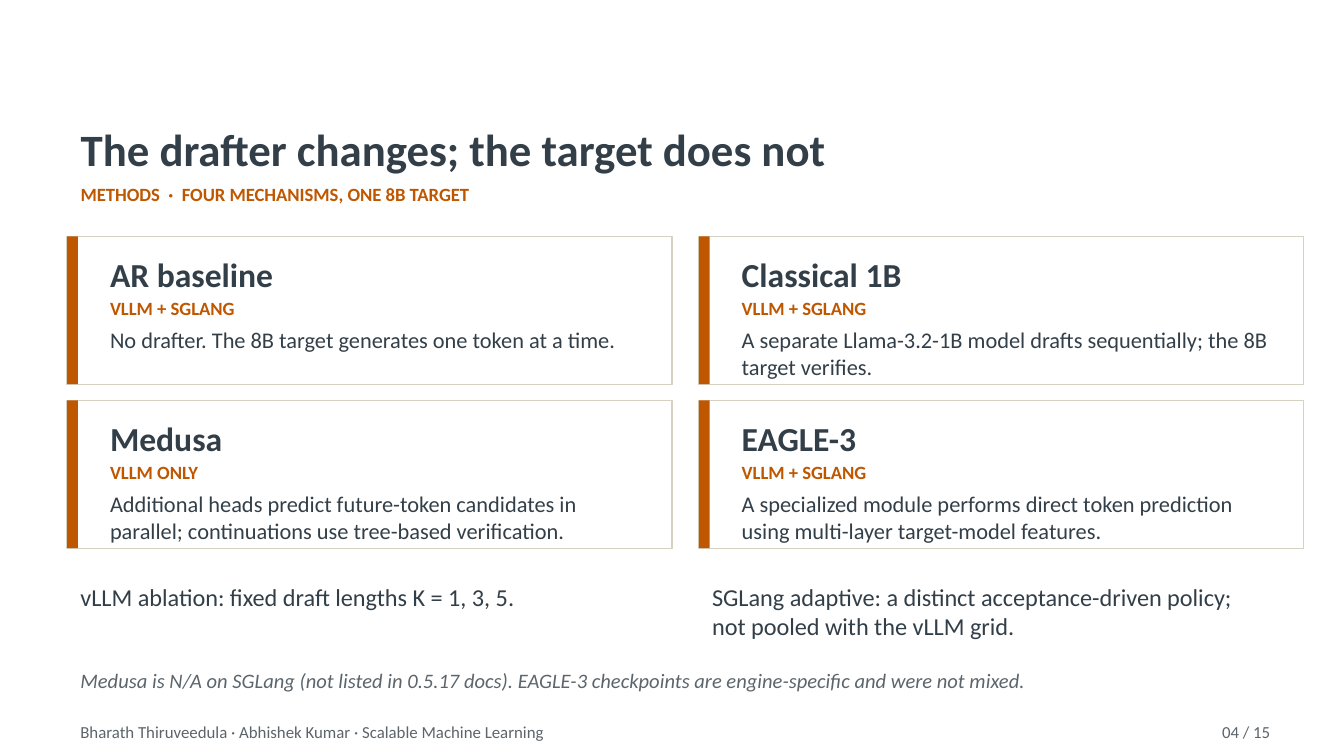
from pptx import Presentation
from pptx.dml.color import RGBColor
from pptx.enum.shapes import MSO_SHAPE
from pptx.enum.text import MSO_ANCHOR, MSO_AUTO_SIZE, PP_ALIGN
from pptx.util import Pt

RECTANGLE = MSO_SHAPE.RECTANGLE
MIDDLE = MSO_ANCHOR.MIDDLE
NO_AUTOFIT = MSO_AUTO_SIZE.NONE
LEFT, RIGHT = PP_ALIGN.LEFT, PP_ALIGN.RIGHT

COLORS = {
    "paper": "FFFFFF",
    "ink": "333F48",
    "accent": "BF5700",
    "border": "D6D2C3",
    "muted": "5B656B",
}
FONT = "Calibri"
TITLE_ONLY = 5

MARGIN = 36
COLUMN_WIDTH = 324
COLUMN_STEP = 338.4
CARD_TOP = 126.72
CARD_HEIGHT = 79.2
CARD_STEP = 87.84
STRIPE_WIDTH = 5.76

CARDS = [
    ("AR baseline", "VLLM + SGLANG",
     "No drafter. The 8B target generates one token at a time."),
    ("Classical 1B", "VLLM + SGLANG",
     "A separate Llama-3.2-1B model drafts sequentially; the 8B target verifies."),
    ("Medusa", "VLLM ONLY",
     "Additional heads predict future-token candidates in parallel; "
     "continuations use tree-based verification."),
    ("EAGLE-3", "VLLM + SGLANG",
     "A specialized module performs direct token prediction "
     "using multi-layer target-model features."),
]


def color(name):
    return RGBColor.from_string(COLORS[name])


def write(para, text, size=12, ink="ink", bold=False, italic=False,
          align=LEFT, before=0):
    para.alignment = align
    para.space_before = Pt(before)
    span = para.add_run()
    span.text = text
    span.font.name = FONT
    span.font.size = Pt(size)
    span.font.bold = bold
    span.font.italic = italic
    span.font.color.rgb = color(ink)


def add_text(page, left, top, width, height, text, **style):
    box = page.shapes.add_textbox(Pt(left), Pt(top), Pt(width), Pt(height))
    box.text_frame.word_wrap = True
    write(box.text_frame.paragraphs[0], text, **style)


def add_block(page, left, top, width, height, fill, line=None):
    block = page.shapes.add_shape(
        RECTANGLE, Pt(left), Pt(top), Pt(width), Pt(height))
    block.shadow.inherit = False
    block.fill.solid()
    block.fill.fore_color.rgb = color(fill)
    if line:
        block.line.color.rgb = color(line)
        block.line.width = Pt(0.75)
    else:
        block.line.fill.background()


def place_title(page, left, top, width, height):
    title = page.shapes.title
    title.left, title.top = Pt(left), Pt(top)
    title.width, title.height = Pt(width), Pt(height)
    frame = title.text_frame
    frame.word_wrap = True
    frame.auto_size = NO_AUTOFIT
    frame.vertical_anchor = MIDDLE
    write(frame.paragraphs[0], "The drafter changes; the target does not",
          size=24, bold=True)
    write(frame.add_paragraph(), "METHODS  ·  FOUR MECHANISMS, ONE 8B TARGET",
          size=10, ink="accent", bold=True, before=4)


def place_card(page, left, top, width, height, name, engines, summary):
    add_block(page, left, top, width, height, "paper", line="border")
    add_block(page, left, top, STRIPE_WIDTH, height, "accent")
    text_left, text_width = left + 15.84, width - 25.2
    add_text(page, text_left, top + 5.76, text_width, 23.04, name,
             size=18, bold=True)
    add_text(page, text_left, top + 28.8, text_width, 15.84, engines,
             size=10, ink="accent", bold=True)
    add_text(page, text_left, top + 44.64, text_width, 30.24, summary)


def place_cards(page, left, top):
    for index, card in enumerate(CARDS):
        row, column = divmod(index, 2)
        place_card(page, left + column * COLUMN_STEP, top + row * CARD_STEP,
                   COLUMN_WIDTH, CARD_HEIGHT, *card)


def place_notes(page, left, top):
    add_text(page, left, top, COLUMN_WIDTH, 50.4,
             "vLLM ablation: fixed draft lengths K = 1, 3, 5.", size=13)
    add_text(page, left + COLUMN_STEP, top, 309.6, 50.4,
             "SGLang adaptive: a distinct acceptance-driven policy; "
             "not pooled with the vLLM grid.", size=13)
    add_text(page, left, top + 46.08, 648, 20.16,
             "Medusa is N/A on SGLang (not listed in 0.5.17 docs). "
             "EAGLE-3 checkpoints are engine-specific and were not mixed.",
             size=11, ink="muted", italic=True)


def place_footer(page, left, top, width, height):
    number_width = 72
    add_text(page, left, top, 489.6, height,
             "Bharath Thiruveedula · Abhishek Kumar · Scalable Machine Learning",
             size=9, ink="muted")
    add_text(page, left + width - number_width, top, number_width, height,
             "04 / 15", size=9, ink="muted", align=RIGHT)


def main():
    deck = Presentation()
    deck.slide_width, deck.slide_height = Pt(720), Pt(405)
    page = deck.slides.add_slide(deck.slide_layouts[TITLE_ONLY])
    page.background.fill.solid()
    page.background.fill.fore_color.rgb = color("paper")
    place_title(page, MARGIN, 54, 648, 67.5)
    place_cards(page, MARGIN, CARD_TOP)
    place_notes(page, MARGIN, 308.16)
    place_footer(page, MARGIN, 383.04, 651.6, 15.84)
    deck.save("out.pptx")


if __name__ == "__main__":
    main()
